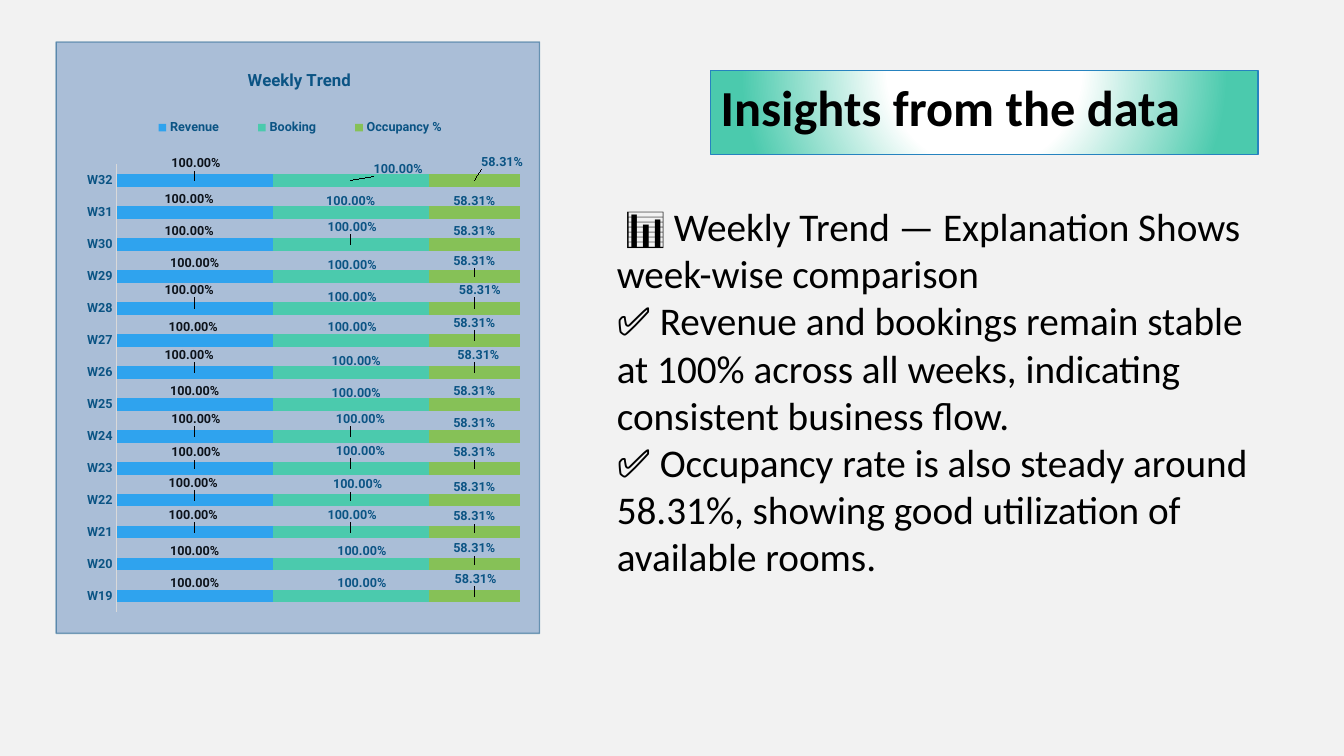
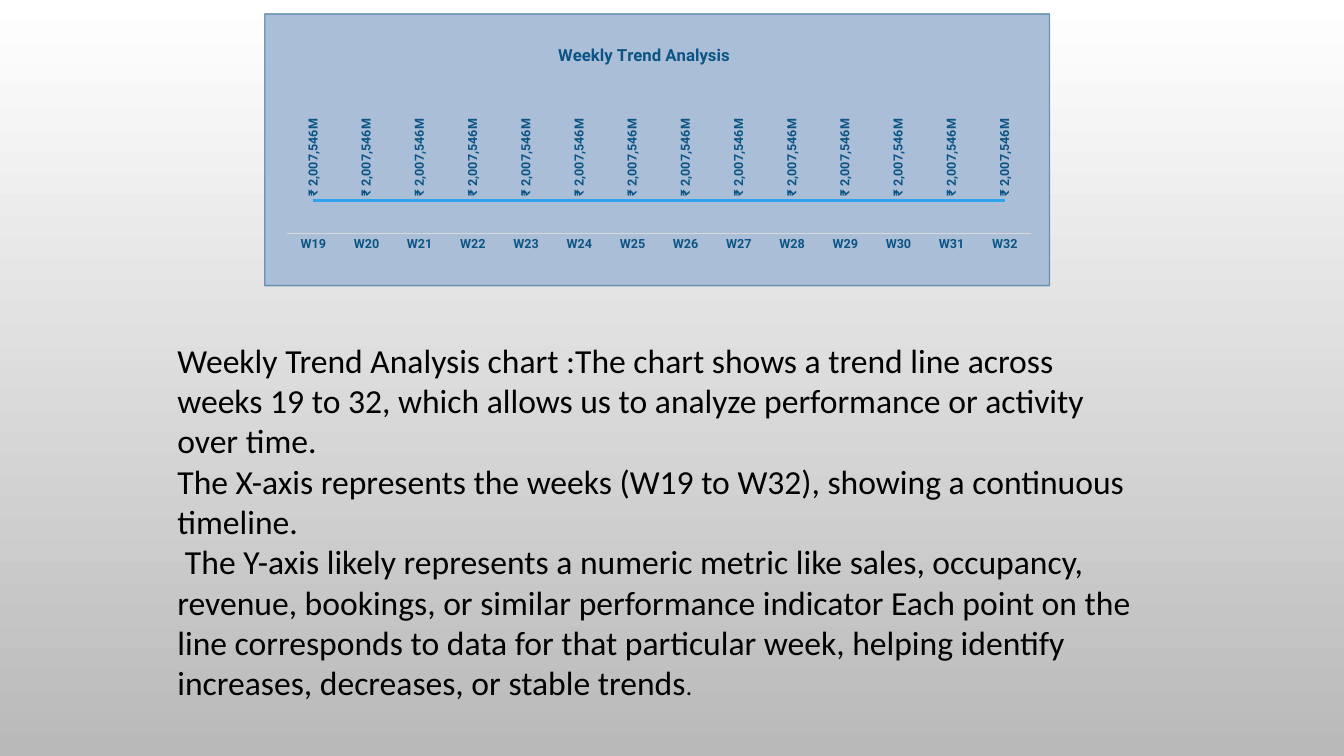
from dataclasses import dataclass

from lxml.etree import SubElement
from pptx import Presentation
from pptx.chart.data import CategoryChartData
from pptx.dml.color import RGBColor
from pptx.enum.chart import (XL_CHART_TYPE, XL_LABEL_POSITION, XL_LEGEND_POSITION,
                             XL_MARKER_STYLE, XL_TICK_MARK)
from pptx.enum.text import MSO_ANCHOR, MSO_AUTO_SIZE, PP_ALIGN
from pptx.oxml import parse_xml
from pptx.oxml.ns import nsdecls, qn
from pptx.util import Pt


# Colours and type sizes
@dataclass(frozen=True)
class Theme:
    text_font: str = "Calibri"
    chart_font: str = "Roboto"
    text: str = "000000"
    label_dark: str = "0C121A"
    chart_text: str = "0B5484"
    panel: str = "AABED7"
    axis: str = "D9D9D9"
    blue: str = "2FA3EE"
    teal: str = "4BCAAD"
    green: str = "86C157"
    title_line: str = "2683BF"
    white: str = "FFFFFF"
    pale: str = "F2F2F2"
    grey: str = "B9B9B9"
    title_size: int = 36
    insight_size: int = 28
    summary_size: int = 24
    stop_size: int = 18
    chart_title_size: int = 12
    label_size: int = 9


THEME = Theme()
WEEKS = [f"W{week}" for week in range(19, 33)]
PERCENT = "0.00%"
RUPEES = '"₹"\\ #,##0,"M"'

# Series: name, value, bar colour, label colour, label shifts (right, up) from W19 to W32
TREND_SERIES = [
    ("Revenue", 1, THEME.blue, THEME.label_dark,
     [(0, 9), (0, 9), (-1, 12), (-1, 12), (1, 11), (1, 12), (0, 9),
      (-4, 12), (-1, 9), (-4, 13), (0, 9), (-4, 9), (-4, 9), (1, 12)]),
    ("Booking", 1, THEME.teal, THEME.chart_text,
     [(8, 9), (8, 9), (1, 12), (5, 11), (7, 12), (7, 12), (4, 8),
      (4, 8), (1, 9), (1, 8), (1, 8), (1, 12), (0, 8), (34, 8)]),
    ("Occupancy %", 0.5831, THEME.green, THEME.chart_text,
     [(1, 12), (0, 11), (0, 11), (0, 9), (0, 11), (0, 9), (0, 9),
      (3, 12), (0, 12), (4, 13), (0, 11), (0, 9), (0, 8), (20, 13)]),
]

INSIGHTS = [
    " 📊 Weekly Trend — Explanation Shows week-wise comparison",
    "✅ Revenue and bookings remain stable at 100% across all weeks, "
    "indicating consistent business flow.",
    "✅ Occupancy rate is also steady around 58.31%, showing good utilization "
    "of available rooms.",
]
SUMMARY = [
    "Weekly Trend Analysis chart :The chart shows a trend line across weeks 19 to 32, "
    "which allows us to analyze performance or activity over time.",
    "The X-axis represents the weeks (W19 to W32), showing a continuous timeline.",
    " The Y-axis likely represents a numeric metric like sales, occupancy, revenue, "
    "bookings, or similar performance indicator Each point on the line corresponds to "
    "data for that particular week, helping identify increases, decreases, or stable trends",
]


def rgb(color):
    return RGBColor.from_string(color)


def style_font(font, name, size, color, bold=False):
    font.name, font.size, font.bold = name, Pt(size), bold
    font.color.rgb = rgb(color)


def style_chart_font(font, color=THEME.chart_text, size=THEME.label_size):
    style_font(font, THEME.chart_font, size, color, bold=True)


# Placeholders
def move(shape, left, top, width, height):
    shape.left, shape.top = Pt(left), Pt(top)
    shape.width, shape.height = Pt(width), Pt(height)


def fill_title(shape, text, frame):
    move(shape, *frame)
    shape.fill.gradient()
    gradient = shape.fill._xPr.find(qn("a:gradFill"))
    stops = [(0, THEME.white), (35, THEME.white), (88, THEME.teal)]
    stop_xml = "".join(f'<a:gs pos="{place * 1000}"><a:srgbClr val="{color}"/></a:gs>'
                       for place, color in stops)
    gradient.getparent().replace(gradient, parse_xml(
        f'<a:gradFill {nsdecls("a")} rotWithShape="1"><a:gsLst>{stop_xml}</a:gsLst>'
        '<a:path path="circle"><a:fillToRect l="50000" t="-80000" r="50000" b="180000"/>'
        '</a:path></a:gradFill>'))
    shape.line.color.rgb = rgb(THEME.title_line)
    shape.line.width = Pt(0.75)
    box = shape.text_frame
    box.text = text
    box.word_wrap = True
    box.auto_size = MSO_AUTO_SIZE.SHAPE_TO_FIT_TEXT
    box.vertical_anchor = MSO_ANCHOR.TOP
    para = box.paragraphs[0]
    para.alignment = PP_ALIGN.LEFT
    style_font(para.font, THEME.text_font, THEME.title_size, THEME.text, bold=True)


def fill_body(shape, lines, size, frame):
    move(shape, *frame)
    box = shape.text_frame
    box.text = "\n".join(lines)
    box.word_wrap = True
    box.auto_size = MSO_AUTO_SIZE.SHAPE_TO_FIT_TEXT
    for para in box.paragraphs:
        properties = para._p.get_or_add_pPr()
        properties.set("marL", "0")
        properties.set("indent", "0")
        SubElement(properties, qn("a:buNone"))
        para.space_before = Pt(0)
        style_font(para.font, THEME.text_font, size, THEME.text)
    return box


# Chart parts
def set_layout(element, index, inner=False, **edges):
    """Give a chart part a manual layout, as fractions of the chart."""
    for old in element.findall(qn("c:layout")):
        element.remove(old)
    layout = parse_xml(f'<c:layout {nsdecls("c")}><c:manualLayout/></c:layout>')
    settings = {"layoutTarget": "inner"} if inner else {}
    if "shift" in edges:
        settings.update(zip("xy", edges["shift"]))
    else:
        settings.update(xMode="edge", yMode="edge")
        settings.update(zip("xywh", edges["frame"]))
    for name, value in settings.items():
        SubElement(layout[0], qn(f"c:{name}")).set("val", str(value))
    element.insert(index, layout)


def add_panel_chart(page, kind, data, frame, title, title_at, plot_frame):
    chart = page.shapes.add_chart(kind, *map(Pt, frame), data).chart
    style_font(chart.font, THEME.text_font, 10, THEME.chart_text, bold=True)
    chart.element.find(qn("c:chart")).addnext(parse_xml(
        f'<c:spPr {nsdecls("c", "a")}>'
        f'<a:solidFill><a:srgbClr val="{THEME.panel}"/></a:solidFill>'
        f'<a:ln w="{Pt(1)}"><a:solidFill><a:srgbClr val="{THEME.chart_text}">'
        '<a:alpha val="50000"/></a:srgbClr></a:solidFill></a:ln></c:spPr>'))
    # Title and plot area
    chart.has_title = True
    box = chart.chart_title.text_frame
    box.text = title
    style_chart_font(box.paragraphs[0].font, size=THEME.chart_title_size)
    set_layout(chart.element.xpath("c:chart/c:title")[0], 1, frame=title_at)
    set_layout(chart.element.xpath("c:chart/c:plotArea")[0], 0, inner=True, frame=plot_frame)
    # Axes
    weeks, values = chart.category_axis, chart.value_axis
    weeks.major_tick_mark = weeks.minor_tick_mark = XL_TICK_MARK.NONE
    weeks.format.line.color.rgb = rgb(THEME.axis)
    weeks.format.line.width = Pt(0.75)
    style_chart_font(weeks.tick_labels.font)
    values.has_major_gridlines = False
    values.visible = False
    values.minimum_scale = 0
    chart.has_legend = False
    chart.plots[0].vary_by_categories = False
    return chart


def show_values(series, number_format, position, color=THEME.chart_text):
    labels = series.data_labels
    labels.show_value = True
    labels.number_format, labels.number_format_is_linked = number_format, False
    labels.position = position
    style_chart_font(labels.font, color)
    return labels


def add_trend_bars(page, frame):
    data = CategoryChartData(number_format=PERCENT)
    data.categories = WEEKS
    for name, value, *_ in TREND_SERIES:
        data.add_series(name, [value] * len(WEEKS))
    chart = add_panel_chart(page, XL_CHART_TYPE.BAR_STACKED_100, data, frame,
                            "Weekly Trend", (0.39, 0.04), (0.125, 0.207, 0.834, 0.757))
    chart.plots[0].gap_width, chart.plots[0].overlap = 150, 100
    chart.has_legend = True
    chart.legend.position = XL_LEGEND_POSITION.TOP
    chart.legend.include_in_layout = False
    style_chart_font(chart.legend.font)
    set_layout(chart.element.xpath("c:chart/c:legend")[0], 1, frame=(0.14, 0.12, 0.73, 0.05))
    # Bars, each label raised above its bar
    width, height = frame[2:]
    for series, (_, _, fill, color, shifts) in zip(chart.plots[0].series, TREND_SERIES):
        series.format.fill.solid()
        series.format.fill.fore_color.rgb = rgb(fill)
        show_values(series, PERCENT, XL_LABEL_POSITION.CENTER, color)
        for index in range(len(shifts)):
            label = series.points[index].data_label
            style_chart_font(label.font, color)
            label.position = XL_LABEL_POSITION.CENTER
    all_shifts = [shift for *_, shifts in TREND_SERIES for shift in shifts]
    for label, (right, up) in zip(chart.element.xpath(".//c:dLbl"), all_shifts):
        set_layout(label, 1, shift=(round(right / width, 4), round(-up / height, 4)))


def add_trend_line(page, frame):
    data = CategoryChartData(number_format=RUPEES)
    data.categories = WEEKS
    data.add_series("Series 1", [2007546000] * len(WEEKS))
    chart = add_panel_chart(page, XL_CHART_TYPE.LINE, data, frame,
                            "Weekly Trend Analysis", (0.37, 0.1), (0.028, 0.657, 0.949, 0.151))
    chart.value_axis.maximum_scale = 2500000000
    series = chart.plots[0].series[0]
    series.smooth = False
    series.marker.style = XL_MARKER_STYLE.NONE
    series.format.line.color.rgb = rgb(THEME.blue)
    series.format.line.width = Pt(2.25)
    show_values(series, RUPEES, XL_LABEL_POSITION.ABOVE)
    # Labels read upwards
    turned = chart.element.xpath(".//c:dLbls/c:txPr/a:bodyPr")[0]
    turned.set("rot", "-5400000")
    turned.set("vert", "horz")


# Slides
def build_insights(page):
    page.background.fill.solid()
    page.background.fill.fore_color.rgb = rgb(THEME.pale)
    add_trend_bars(page, (39.6, 29.5, 346.3, 423.4))
    fill_body(page.placeholders[1], INSIGHTS, THEME.insight_size, (433.4, 141.1, 487.4, 278.6))
    fill_title(page.shapes.title, "Insights from the data", (507.6, 50.4, 391, 51.1))


def build_analysis(page):
    fill = page.background.fill
    fill.gradient()
    fill.gradient_angle = 270
    for stop, place, color in zip(fill.gradient_stops, (0, 1), (THEME.white, THEME.grey)):
        stop.position = place
        stop.color.rgb = rgb(color)
    title = page.shapes.title.element
    title.getparent().remove(title)
    add_trend_line(page, (188.6, 9.4, 561.6, 195.1))
    box = fill_body(page.placeholders[1], SUMMARY, THEME.summary_size, (119.5, 239, 698.4, 239.8))
    span = box.paragraphs[-1].add_run()
    span.text = "."
    span.font.size = Pt(THEME.stop_size)


def main():
    deck = Presentation()
    deck.slide_width, deck.slide_height = Pt(960), Pt(540)
    layout = deck.slide_layouts.get_by_name("Title and Content")
    for build in (build_insights, build_analysis):
        build(deck.slides.add_slide(layout))
    deck.save("out.pptx")


if __name__ == "__main__":
    main()
